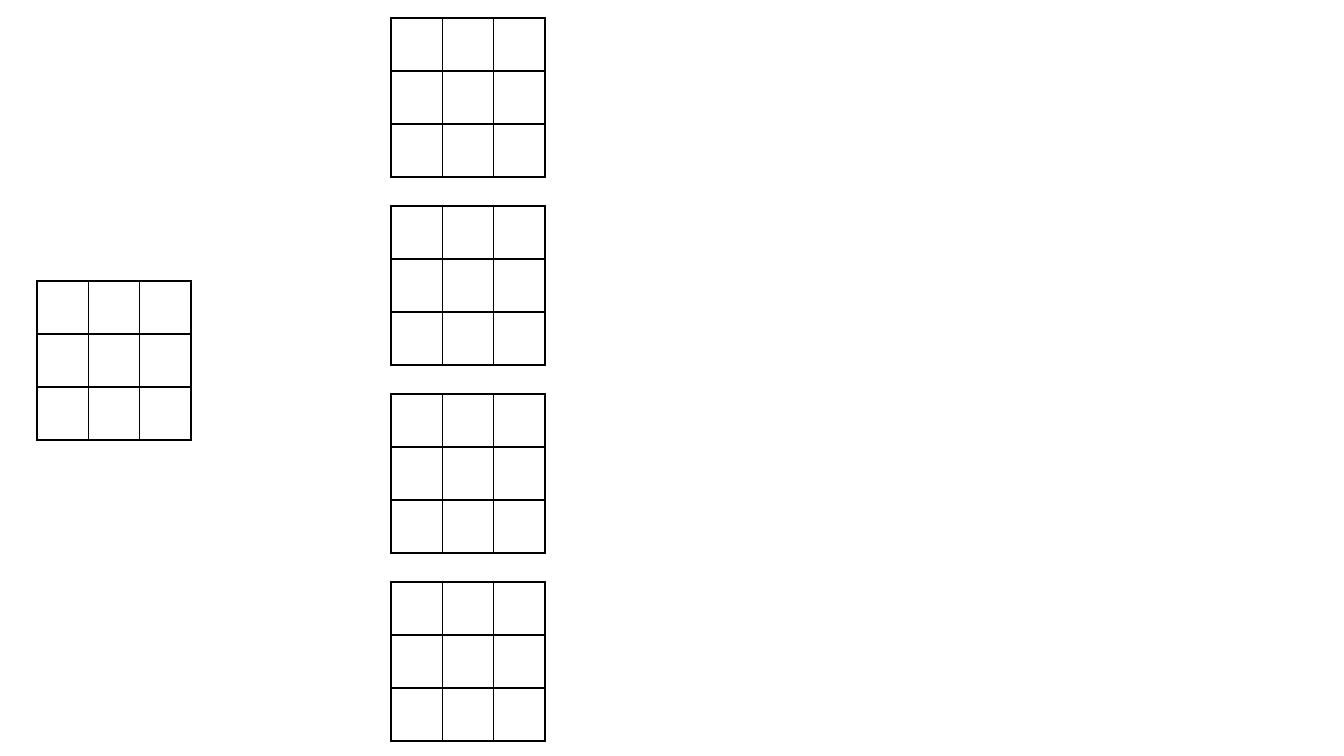
from lxml.etree import SubElement
from pptx import Presentation
from pptx.dml.color import RGBColor
from pptx.oxml.ns import qn
from pptx.util import Emu, Pt

EMU_PER_PIXEL = 914400 / 100.8
COLORS = {"background": "FFFFFF", "border": "000000"}
GRID_SIZE = 3
GRID_WIDTH, GRID_HEIGHT = 154, 159
BRANCH_COUNT, BRANCH_PITCH = 4, 188


def pixels(value):
    """Turn pixels into EMU."""
    return Emu(round(value * EMU_PER_PIXEL))


def outline_cell(cell):
    """Leave a cell unfilled, with a thin line on all four sides."""
    properties = cell._tc.get_or_add_tcPr()
    for side in ("a:lnL", "a:lnR", "a:lnT", "a:lnB"):
        line = SubElement(properties, qn(side), w=str(Pt(1)))
        fill = SubElement(line, qn("a:solidFill"))
        SubElement(fill, qn("a:srgbClr"), val=COLORS["border"])
    cell.fill.background()


def add_board(slide, left, top, width, height):
    """Draw an empty square board in the given box."""
    box = map(pixels, (left, top, width, height))
    table = slide.shapes.add_table(GRID_SIZE, GRID_SIZE, *box).table
    table.first_row = False
    table.horz_banding = False
    for cell in table.iter_cells():
        outline_cell(cell)
        cell.text_frame.paragraphs[0].font.name = "Calibri"


def add_branch_boards(slide, left, top):
    """Stack the branch boards at an equal pitch."""
    for index in range(BRANCH_COUNT):
        add_board(slide, left, top + index * BRANCH_PITCH, GRID_WIDTH, GRID_HEIGHT)


def main():
    """Build the slide with a root board and its branch boards."""
    presentation = Presentation()
    presentation.slide_width = pixels(1344)
    presentation.slide_height = pixels(756)
    slide = presentation.slides.add_slide(presentation.slide_layouts[6])
    slide.background.fill.solid()
    slide.background.fill.fore_color.rgb = RGBColor.from_string(COLORS["background"])
    add_board(slide, 37, 281, GRID_WIDTH, GRID_HEIGHT)
    add_branch_boards(slide, 391, 18)
    presentation.save("out.pptx")


main()
